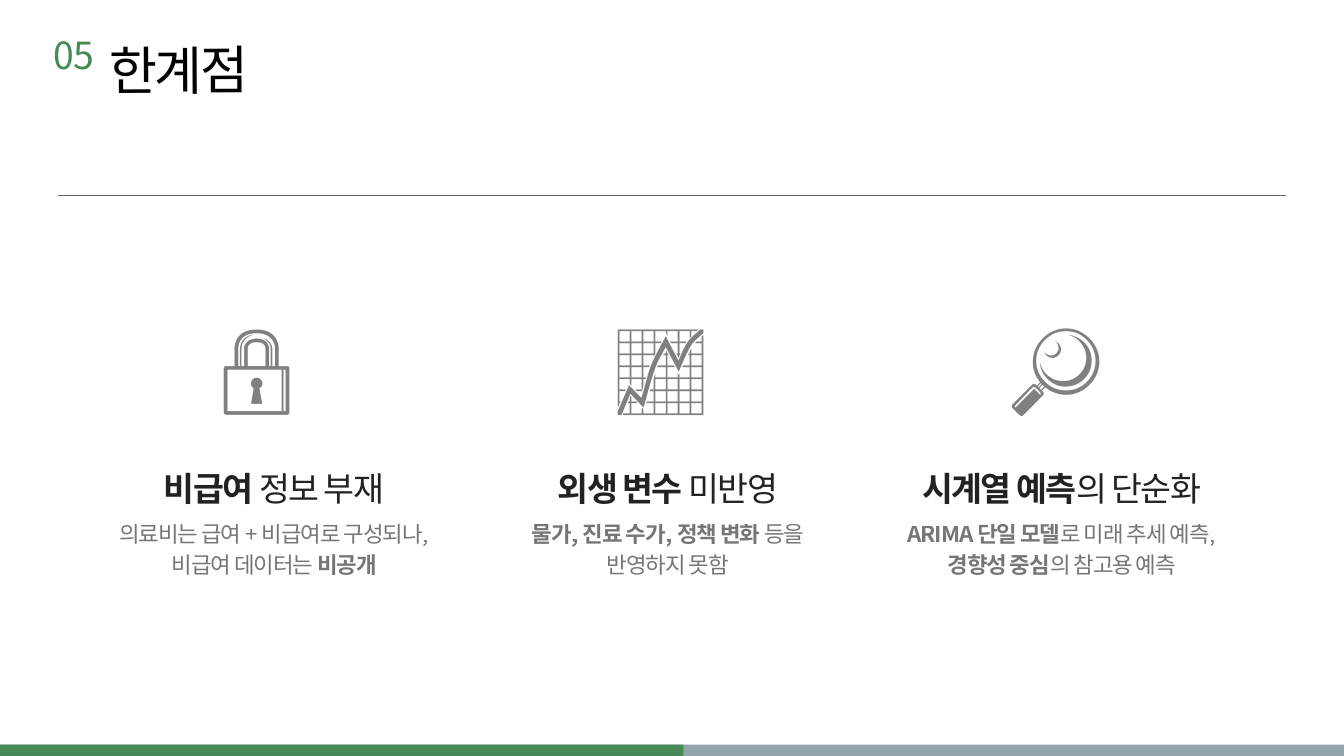
from dataclasses import dataclass

from lxml import etree
from pptx import Presentation
from pptx.dml.color import RGBColor
from pptx.enum.shapes import MSO_CONNECTOR, MSO_SHAPE
from pptx.enum.text import MSO_ANCHOR, MSO_AUTO_SIZE, PP_ALIGN
from pptx.oxml.ns import qn
from pptx.util import Inches, Pt

LEFT, CENTER = PP_ALIGN.LEFT, PP_ALIGN.CENTER
TITLE_ONLY = 5


@dataclass(frozen=True)
class Style:
    size: float
    color: str
    leading: float
    tracking: float = 0
    align: int = LEFT
    opacity: int = 100


class Theme:
    font = "Noto Sans CJK KR"
    green, gray, rule = "468A57", "94A4AD", "5E6175"
    title = Style(56, "000000", 62, -3.1)
    number = Style(40, green, 26.6, -0.6)
    icon = Style(100, "808080", 23.1)
    heading = Style(36, "222222", 48.9, -1.7, CENTER)
    body = Style(24, "222222", 32.2, -1.2, CENTER, 62)


# Content: each text is a list of lines, each line a list of (text, bold)
NUMBER, TITLE = "05", "한계점"
LIMITS = [
    {"icon": "🔒",
     "heading": [[("비급여", True), (" 정보 부재", False)]],
     "body": [[("의료비는 급여 + 비급여로 구성되나,", False)],
              [("비급여 데이터는 ", False), ("비공개", True)]]},
    {"icon": "📈",
     "heading": [[("외생 변수 ", True), ("미반영", False)]],
     "body": [[("물가, 진료 수가, 정책 변화 ", True), ("등을", False)],
              [("반영하지 못함", False)]]},
    {"icon": "🔎",
     "heading": [[("시계열 예측", True), ("의 단순화", False)]],
     "body": [[("ARIMA 단일 모델", True), ("로 미래 추세 예측,", False)],
              [("경향성 중심", True), ("의 참고용 예측", False)]]},
]

# Grid, in inches
WIDTH, HEIGHT = 20, 11.25
MARGIN, RULE_Y = 0.86, 2.9
BAR_HEIGHT, GREEN_WIDTH = 0.17, 10.17
FIRST_CENTER, PITCH = 4.08, 5.86
ROWS = {  # offset of the left edge from the column centre, top, width, height
    "icon": (-0.8, 5.91, 1.92, 0.63),
    "heading": (-2.35, 6.88, 4.7, 0.64),
    "body": (-2.71, 7.7, 5.42, 0.86),
}


def write(shape, lines, style):
    frame = shape.text_frame
    frame.margin_left = frame.margin_right = frame.margin_top = frame.margin_bottom = 0
    frame.word_wrap = True
    frame.auto_size = MSO_AUTO_SIZE.SHAPE_TO_FIT_TEXT
    frame.vertical_anchor = MSO_ANCHOR.TOP
    para = frame.paragraphs[0]
    para.alignment = style.align
    para.line_spacing = Pt(style.leading)
    for index, line in enumerate(lines):
        if index:
            para.add_line_break()
        for text, bold in line:
            span = para.add_run()
            span.text = text
            format_span(span, style, bold)


def format_span(span, style, bold):
    font = span.font
    font.size, font.bold, font.name = Pt(style.size), bold, Theme.font
    font.color.rgb = RGBColor.from_string(style.color)
    props = span._r.get_or_add_rPr()
    props.set("spc", str(round(style.tracking * 100)))
    etree.SubElement(props, qn("a:ea")).set("typeface", Theme.font)
    if style.opacity < 100:
        color = props.find(qn("a:solidFill"))[0]
        etree.SubElement(color, qn("a:alpha")).set("val", str(style.opacity * 1000))


def add_text(page, place, lines, style):
    box = page.shapes.add_textbox(*map(Inches, place))
    write(box, lines, style)


def add_bar(page, width, color):
    bar = page.shapes.add_shape(MSO_SHAPE.RECTANGLE, 0, Inches(HEIGHT - BAR_HEIGHT),
                                Inches(width), Inches(BAR_HEIGHT))
    bar.shadow.inherit = False
    bar.fill.solid()
    bar.fill.fore_color.rgb = RGBColor.from_string(color)
    bar.line.fill.background()


def add_rule(page):
    rule = page.shapes.add_connector(MSO_CONNECTOR.STRAIGHT, Inches(MARGIN), Inches(RULE_Y),
                                     Inches(WIDTH - MARGIN), Inches(RULE_Y))
    rule.line.color.rgb = RGBColor.from_string(Theme.rule)
    rule.line.width = Pt(0.75)
    etree.SubElement(rule._element.spPr, qn("a:effectLst"))


def main():
    deck = Presentation()
    deck.slide_width, deck.slide_height = Inches(WIDTH), Inches(HEIGHT)
    page = deck.slides.add_slide(deck.slide_layouts[TITLE_ONLY])

    # Footer bar and header rule
    add_bar(page, WIDTH, Theme.gray)
    add_bar(page, GREEN_WIDTH, Theme.green)
    add_rule(page)

    # Title and section number
    title = page.shapes.title
    title.left, title.top, title.width, title.height = map(Inches, (1.63, 0.61, 10.95, 0.87))
    title.rotation = 359.7
    write(title, [[(TITLE, False)]], Theme.title)
    add_text(page, (0.8, 0.78, 1.14, 0.42), [[(NUMBER, False)]], Theme.number)

    # One column per limitation
    for column, limit in enumerate(LIMITS):
        center = FIRST_CENTER + column * PITCH
        texts = {**limit, "icon": [[(limit["icon"], False)]]}
        for row, (offset, *place) in ROWS.items():
            add_text(page, (center + offset, *place), texts[row], getattr(Theme, row))

    deck.save("out.pptx")


if __name__ == "__main__":
    main()
